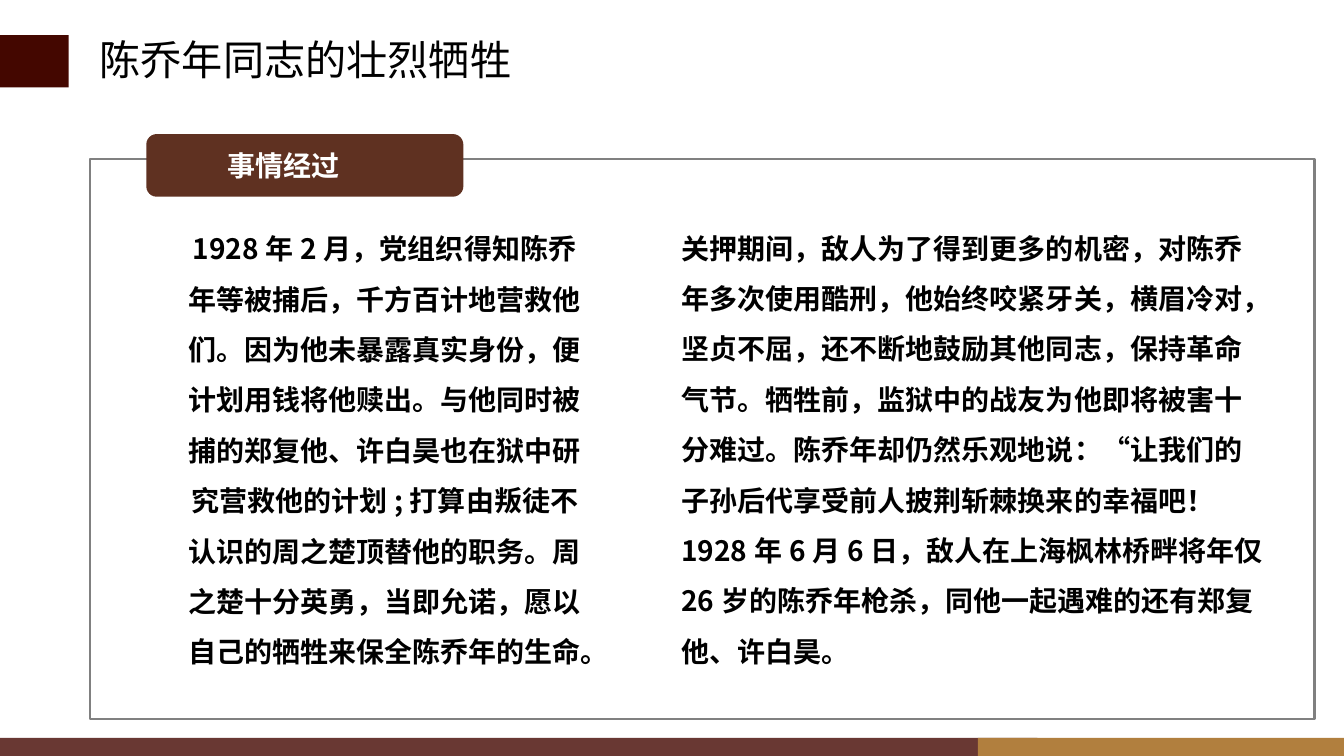
from pptx import Presentation
from pptx.dml.color import RGBColor as RGB
from pptx.enum.shapes import MSO_SHAPE as SHAPE
from pptx.enum.text import MSO_ANCHOR as ANCHOR, MSO_AUTO_SIZE as AUTO, PP_ALIGN as ALIGN
from pptx.oxml.ns import qn
from pptx.util import Pt
from lxml.etree import SubElement

COLORS = {"maroon": "440700", "gold": "B17F3E", "gray": "808080",
          "brown": "5F3121", "black": "000000", "white": "FFFFFF"}

CAPTURE = ("1928年2月，党组织得知陈乔年等被捕后，千方百计地营救他们。"
           "因为他未暴露真实身份，便计划用钱将他赎出。"
           "与他同时被捕的郑复他、许白昊也在狱中研究营救他的计划;"
           "打算由叛徒不认识的周之楚顶替他的职务。"
           "周之楚十分英勇，当即允诺，愿以自己的牺牲来保全陈乔年的生命。")
SACRIFICE = ("关押期间，敌人为了得到更多的机密，对陈乔年多次使用酷刑，"
             "他始终咬紧牙关，横眉冷对，坚贞不屈，还不断地鼓励其他同志，保持革命气节。"
             "牺牲前，监狱中的战友为他即将被害十分难过。"
             "陈乔年却仍然乐观地说：“让我们的子孙后代享受前人披荆斩棘换来的幸福吧！"
             "1928年6月6日，敌人在上海枫林桥畔将年仅26岁的陈乔年枪杀，"
             "同他一起遇难的还有郑复他、许白昊。")


def write(sp, text, size=20, color="black", bold=True, align=ALIGN.LEFT,
          anchor=ANCHOR.MIDDLE, spacing=1.0, font="Noto Sans CJK JP"):
    tf = sp.text_frame
    tf.word_wrap = True
    tf.auto_size = AUTO.NONE
    tf.vertical_anchor = anchor
    tf.margin_top = tf.margin_bottom = 0
    p = tf.paragraphs[0]
    pPr = p._p.get_or_add_pPr()
    pPr.set("marL", "0")
    pPr.set("indent", "0")
    SubElement(pPr, qn("a:buNone"))
    p.alignment = align
    p.line_spacing = spacing
    p.space_before = Pt(0)
    r = p.add_run()
    r.text = text
    r.font.size = Pt(size)
    r.font.bold = bold
    r.font.name = font
    r.font.color.rgb = RGB.from_string(COLORS[color])
    SubElement(r._r.get_or_add_rPr(), qn("a:ea")).set("typeface", font)


class Page:
    def __init__(self, prs, layout):
        self.s = prs.slides.add_slide(prs.slide_layouts[layout])

    def block(self, box, fill=None, line=None, kind=SHAPE.RECTANGLE, alpha=None):
        sp = self.s.shapes.add_shape(kind, *map(Pt, box))
        sp.shadow.inherit = False
        if fill:
            sp.fill.solid()
            sp.fill.fore_color.rgb = RGB.from_string(COLORS[fill])
        else:
            sp.fill.background()
        if line:
            sp.line.color.rgb = RGB.from_string(COLORS[line])
            sp.line.width = Pt(1.5)
        else:
            sp.line.fill.background()
        if alpha:
            clr = sp._element.spPr.find(qn("a:solidFill"))[0]
            SubElement(clr, qn("a:alpha")).set("val", str(alpha * 1000))

    def placeholder(self, idx, box, text, **fmt):
        sp = self.s.placeholders[idx]
        sp.left, sp.top, sp.width, sp.height = map(Pt, box)
        write(sp, text, **fmt)

    def label(self, box, text, **fmt):
        write(self.s.shapes.add_textbox(*map(Pt, box)), text, **fmt)


def main():
    prs = Presentation()
    prs.slide_width, prs.slide_height = Pt(960), Pt(540)
    page = Page(prs, 3)

    page.placeholder(0, (64, 21, 848, 42.5), "陈乔年同志的壮烈牺牲", size=29.4, bold=False)
    page.block((0, 25, 49, 37.5), "maroon")
    page.block((0, 527, 741, 13), "maroon", alpha=80)
    page.block((698.5, 527, 261.5, 13), "gold")
    page.block((64, 113.75, 875, 400), line="gray")
    page.block((104.5, 95.75, 226.5, 44.75), "brown", kind=SHAPE.ROUNDED_RECTANGLE)

    column = {"anchor": ANCHOR.TOP, "spacing": Pt(36)}
    page.placeholder(1, (124, 153.5, 301.5, 327), CAPTURE, align=ALIGN.CENTER, **column)
    page.placeholder(2, (479.5, 153, 433, 359), SACRIFICE, **column)
    page.label((35.25, 102.25, 335, 31.5), "事情经过", color="white", align=ALIGN.CENTER)

    prs.save("out.pptx")


if __name__ == "__main__":
    main()
